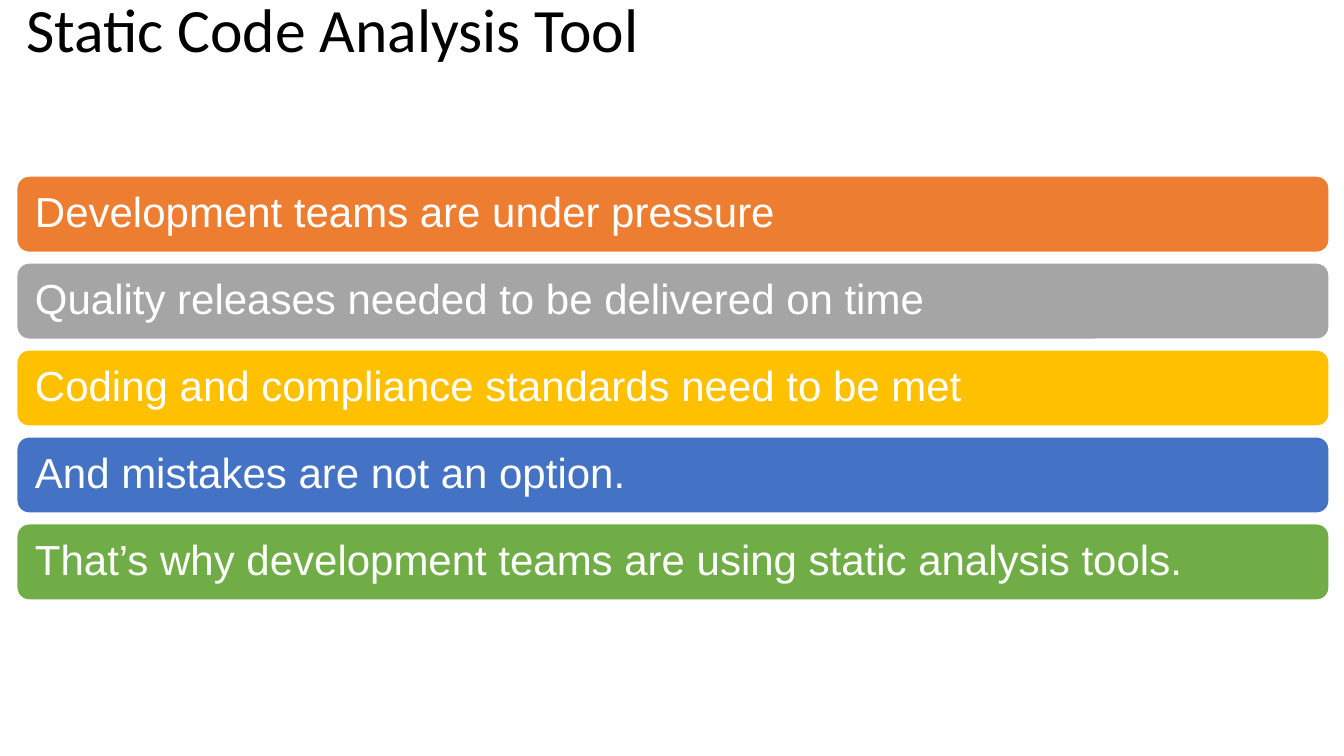
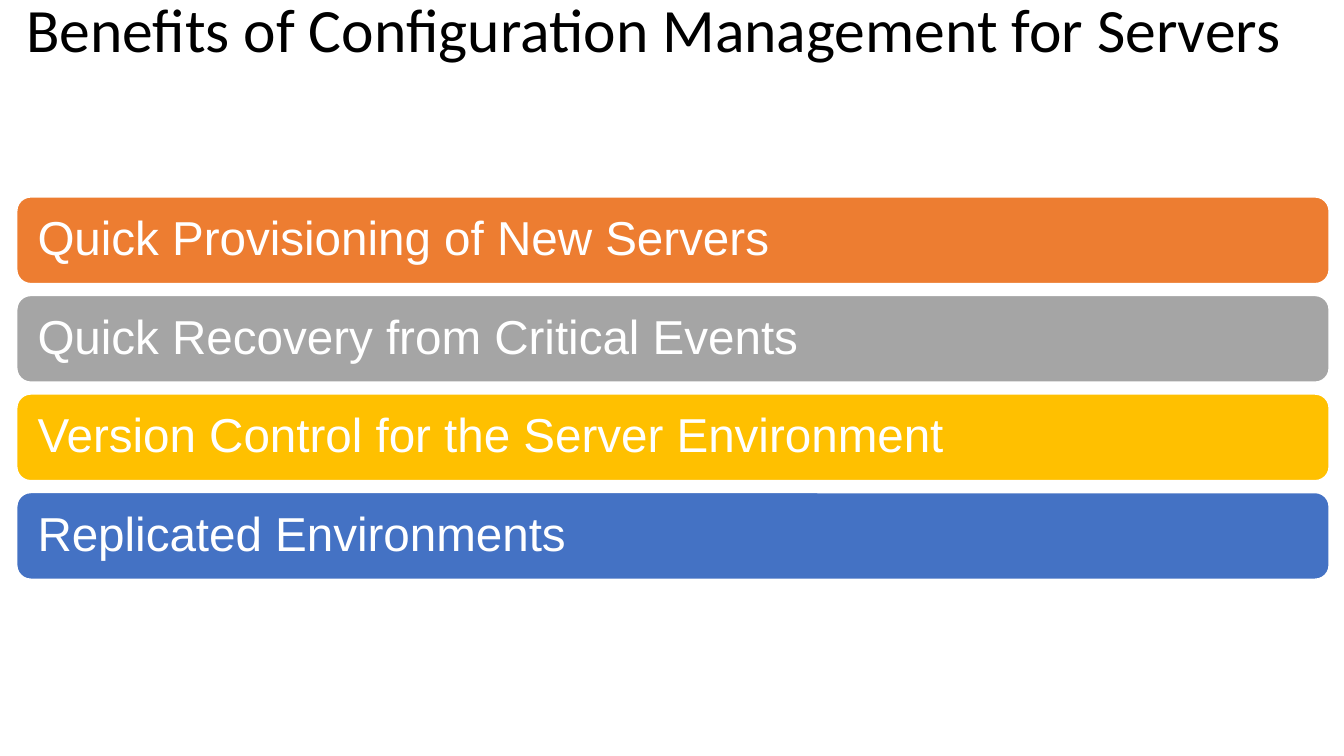
"""Build two slides, each with a title and a centred stack of coloured bars."""
from pptx import Presentation
from pptx.dml.color import RGBColor
from pptx.enum.shapes import MSO_SHAPE
from pptx.enum.text import MSO_ANCHOR, PP_ALIGN
from pptx.util import Inches, Pt

COLORS = {
    "title": "000000",
    "white": "FFFFFF",
    "orange": "ED7D31",
    "gray": "A5A5A5",
    "gold": "FFC000",
    "blue": "4472C4",
    "green": "70AD47",
}
BAR_COLORS = ["orange", "gray", "gold", "blue", "green"]
LEFT, WIDTH = Inches(0.16), Inches(13.03)
TITLE_HEIGHT = Inches(0.64)
STACK_CENTER = Inches(3.85)
BAR_HEIGHT, BAR_PITCH, BAR_INSET = 1.85, 2.07, 0.36

SLIDES = [
    ("Static Code Analysis Tool", 30, [
        "Development teams are under pressure",
        "Quality releases needed to be delivered on time",
        "Coding and compliance standards need to be met",
        "And mistakes are not an option.",
        "That’s why development teams are using static analysis tools.",
    ]),
    ("Benefits of Configuration Management for Servers", 34, [
        "Quick Provisioning of New Servers",
        "Quick Recovery from Critical Events",
        "Version Control for the Server Environment",
        "Replicated Environments",
    ]),
]


def write_line(shape, text, font_name, size, color):
    """Write one left-aligned, vertically centred line of text in a shape."""
    frame = shape.text_frame
    frame.word_wrap = True
    frame.vertical_anchor = MSO_ANCHOR.MIDDLE
    paragraph = frame.paragraphs[0]
    paragraph.text = text
    paragraph.alignment = PP_ALIGN.LEFT
    paragraph.line_spacing = 0.9
    paragraph.font.name = font_name
    paragraph.font.size = Pt(size)
    paragraph.font.color.rgb = RGBColor.from_string(COLORS[color])


presentation = Presentation()
presentation.slide_width = Inches(13.33)
presentation.slide_height = Inches(7.5)
blank_layout = presentation.slide_layouts[6]

for title, size, lines in SLIDES:
    slide = presentation.slides.add_slide(blank_layout)
    title_box = slide.shapes.add_textbox(LEFT, 0, WIDTH, TITLE_HEIGHT)
    write_line(title_box, title, "Calibri", 44, "title")

    height, pitch = Pt(BAR_HEIGHT * size), Pt(BAR_PITCH * size)
    stack_top = STACK_CENTER - (pitch * (len(lines) - 1) + height) // 2
    for row, (line, color) in enumerate(zip(lines, BAR_COLORS)):
        bar = slide.shapes.add_shape(
            MSO_SHAPE.ROUNDED_RECTANGLE, LEFT, stack_top + row * pitch, WIDTH, height)
        bar.shadow.inherit = False
        bar.fill.solid()
        bar.fill.fore_color.rgb = RGBColor.from_string(COLORS[color])
        bar.line.color.rgb = RGBColor.from_string(COLORS["white"])
        bar.line.width = Pt(2)
        bar.text_frame.margin_left = bar.text_frame.margin_right = Pt(BAR_INSET * size)
        write_line(bar, line, "Arial", size, "white")

presentation.save("out.pptx")
